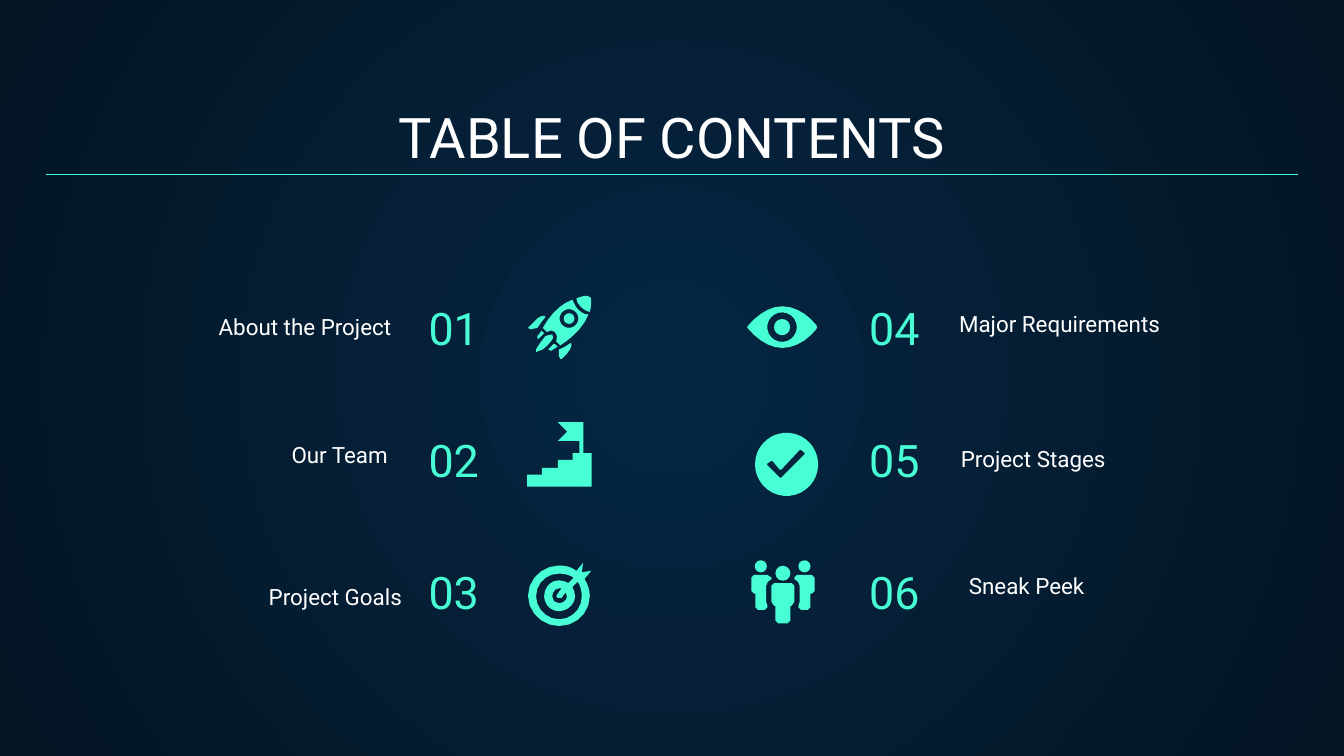
from math import cos, sin, pi, dist
from lxml.etree import SubElement as Sub, fromstring
from pptx import Presentation
from pptx.dml.color import RGBColor as Rgb
from pptx.enum.shapes import MSO_CONNECTOR as Link, MSO_SHAPE as Kind
from pptx.enum.text import MSO_ANCHOR as Anchor, MSO_AUTO_SIZE as Auto, PP_ALIGN as Align
from pptx.oxml.ns import nsdecls, qn
from pptx.util import Cm, Pt

THEME = {
    "font": "Roboto",
    "white": Rgb.from_string("FFFFFF"),
    "mint": Rgb.from_string("48FFD5"),
    "glow": Rgb.from_string("052643"),
    "edge": Rgb.from_string("041523"),
    "head": 30,
    "num": 24,
    "label": 12,
    "rule": 0.75,
}

ROCKET = [
    "M 10 26 C 8 28 8 30 7 30 L 7 32 8 32 12 28",
    "M 20 36 L 19 36 15 40 17 41 22 38",
    "M 17 29 C 16 29 14 30 13 30 C 9 35 7 38 6 40 L 6 42 8 41"
    " C 10 41 13 39 17 34 C 19 33 19 30 18 29",
    "M 12 15 C 10 15 7 16 5 19 L 1 23 0 24 2 25 7 24 C 9 21 11 18 13 16",
    "M 32 35 C 29 37 26 39 23 40 L 23 45 24 47 25 47 29 43 C 32 40 33 36 32 35",
    "O 30.5 17 4",
    "M 44 0 C 41 0 39 1 36 2 C 36 4 37 6 39 8 C 41 10 44 12 46 12"
    " C 47 9 47 5 47 2 L 46 1",
    "M 33 3 C 25 6 17 13 11 24 L 14 27 C 16 26 19 25 20 27 C 22 29 22 31 21 34"
    " L 24 37 C 32 32 41 24 45 14 C 42 14 40 13 37 10 C 35 8 34 5 33 3 O 30.5 17 7",
]
STAIRS = [
    "M 23 0 L 30 7 23 14 39 14 39 23 34 23 34 28 23 28 23 34 11 34 11 39"
    " 0 39 0 48 48 48 48 23 42 23 42 0",
]
TARGET = [
    "M 41 0 L 36 6 C 32 3 28 2 23 2 C 11 2 0 12 0 24.5 C 0 37 11 47 23 47"
    " C 36 47 46 37 46 24.5 C 46 20 44 15 42 12 L 47 6 40 7"
    " M 23 8 C 27 8 31 9 34 11 L 30 15 C 28 14 26 13 23 13 C 17 13 12 18 12 25"
    " C 12 31 17 36 23 36 C 29 36 35 31 35 25 C 35 22 34 20 33 18 L 37 14"
    " C 39 17 40 21 40 25 C 40 34 33 42 23 42 C 14 42 6 34 6 25 C 6 15 14 8 23 8"
    " M 23 19 L 25 19 22 23 21 25 22 26 25 26 28 22 29 25"
    " C 29 28 26 30 23 30 C 20 30 18 28 18 25 C 18 22 20 19 23 19",
]
EYE = [
    "M 26 0 C 17 0 8 6 1 14 L 0 15.5 1 17 C 8 25 17 31 26 31"
    " C 36 31 45 25 51.5 17 L 52 15.5 51.5 14 C 45 6 36 0 26 0"
    " O 26 15.5 11 O 26 15.5 6",
]
CHECK = [
    "O 23.5 23.5 23.5 M 34 12.5 L 37 15 37 16 20 33 19 33.7 18 33"
    " 9 24 9 23 12 21 13 21 18.5 27.5 19.5 27.5 33 13",
]
PEOPLE = [
    "O 7 4.5 4.5",
    "M 2 11 L 0 13 0 23 2 25 3 25 3 35 5 37 10 37 12 35 12 34 11 31 11 19"
    " C 11 17 13 15 15 14 L 15 13 12 11",
    "O 39.5 4.5 4.5",
    "M 34 11 L 32 13 32 14 C 34 15 36 17 36 19 L 36 31 35 34 35 35 37 37 42 37"
    " 44 35 44 25 45 25 47 23 47 13 45 11",
    "M 17 17 L 15 19 15 31 17 34 18 34 18 45 20 47 27 47 29 45 29 34 30 34"
    " 32 31 32 19 30 17",
    "O 23.5 9.7 5.6",
]

TITLE = "TABLE OF CONTENTS"
SIDES = [
    (7.85, Align.LEFT, [
        ("01", "About the Project", (1.88, 6.15), Align.RIGHT, ROCKET, (9.98, 5.59)),
        ("02", "Our Team", (5.26, 8.56), Align.LEFT, STAIRS, (9.96, 7.98)),
        ("03", "Project Goals", (2.08, 11.25), Align.RIGHT, TARGET, (9.98, 10.64)),
    ]),
    (14.35, Align.RIGHT, [
        ("04", "Major Requirements", (16.41, 6.1), Align.RIGHT, EYE, (14.12, 5.79)),
        ("05", "Project Stages", (17.91, 8.64), Align.LEFT, CHECK, (14.27, 8.18)),
        ("06", "Sneak Peek", (18.06, 11.05), Align.LEFT, PEOPLE, (14.2, 10.59)),
    ]),
]
TOP, STEP = 5.28, 2.49
UNIT, FINE = 0.0254, 100
NEED = {"M": 2, "L": 2, "C": 6, "O": 3}


def curve(ends):
    count = max(2, min(5, round(dist(ends[0], ends[-1]) / 3)))
    for i in range(1, count + 1):
        t = i / count
        w = ((1 - t) ** 3, 3 * t * (1 - t) ** 2, 3 * t * t * (1 - t), t ** 3)
        yield tuple(sum(k * p[axis] for k, p in zip(w, ends)) for axis in (0, 1))


def ring(x, y, r):
    count = 10 + round(r)
    turns = [2 * pi * i / count for i in range(count)]
    return [(x + r * cos(a), y + r * sin(a)) for a in turns]


def trace(route):
    loops, code, args = [], "", []
    for word in route.split():
        if word.isalpha():
            code = word
            continue
        args.append(float(word))
        if len(args) < NEED[code]:
            continue
        if code == "O":
            loops.append(ring(*args))
        elif code == "M":
            loops.append([tuple(args)])
        elif code == "L":
            loops[-1].append(tuple(args))
        else:
            loops[-1].extend(curve([loops[-1][-1], *zip(args[::2], args[1::2])]))
        args = []
    return [[(x * FINE, y * FINE) for x, y in loop] for loop in loops]


def disc(host, part, spot):
    x, y, r = (float(word) * UNIT for word in part.split()[1:])
    box = (spot[0] + x - r, spot[1] + y - r, 2 * r, 2 * r)
    return host.add_shape(Kind.OVAL, *map(Cm, box))


def outline(host, part, spot):
    first, *rest = trace(part)
    pen = host.build_freeform(*first[0], scale=Cm(UNIT) / FINE)
    pen.add_line_segments(first[1:], close=True)
    for loop in rest:
        pen.move_to(*loop[0])
        pen.add_line_segments(loop[1:], close=True)
    return pen.convert_to_shape(*map(Cm, spot))


def draw(shapes, parts, spot):
    host = shapes.add_group_shape().shapes if len(parts) > 1 else shapes
    for part in parts:
        plain = part[0] == "O" and len(part.split()) == 4
        form = (disc if plain else outline)(host, part, spot)
        form.shadow.inherit = False
        form.fill.solid()
        form.fill.fore_color.rgb = THEME["mint"]
        form.line.fill.background()


def write(shapes, text, box, size, tint, align):
    frame = shapes.add_textbox(*map(Cm, box)).text_frame
    frame.word_wrap = True
    frame.auto_size = Auto.NONE
    frame.vertical_anchor = Anchor.BOTTOM
    frame.margin_left = frame.margin_right = Cm(0.25)
    frame.margin_top = frame.margin_bottom = Cm(0.25)
    frame.text = text
    line = frame.paragraphs[0]
    line.alignment = align
    font = line.runs[0].font
    font.name, font.size = THEME["font"], Pt(THEME[size])
    font.color.rgb = THEME[tint]


def paint(slide):
    fill = slide.background.fill
    fill.gradient()
    for stop, tint in zip(fill.gradient_stops, ("glow", "edge")):
        stop.color.rgb = THEME[tint]
    lin = next(slide.element.iter(qn("a:lin")))
    lin.getparent().replace(lin, fromstring(
        f'<a:path {nsdecls("a")} path="circle">'
        '<a:fillToRect l="50000" t="50000" r="50000" b="50000"/></a:path>'))


def main():
    deck = Presentation()
    deck.slide_width, deck.slide_height = Cm(25.4), Cm(14.29)
    slide = deck.slides.add_slide(deck.slide_layouts[6])
    shapes = slide.shapes
    paint(slide)
    write(shapes, TITLE, (0.86, 1.78, 23.67, 1.68), "head", "white", Align.CENTER)
    for left, side, rows in SIDES:
        for i, (num, label, spot, align, icon, place) in enumerate(rows):
            write(shapes, num, (left, TOP + i * STEP, 3.28, 1.68), "num", "mint", side)
            write(shapes, label, (*spot, 5.77, 0.53), "label", "white", align)
            draw(shapes, icon, place)
    rule = shapes.add_connector(Link.STRAIGHT, *map(Cm, (0.86, 3.3, 24.54, 3.3)))
    rule.line.color.rgb = THEME["mint"]
    rule.line.width = Pt(THEME["rule"])
    Sub(rule._element.spPr, qn("a:effectLst"))
    deck.save("out.pptx")


if __name__ == "__main__":
    main()
